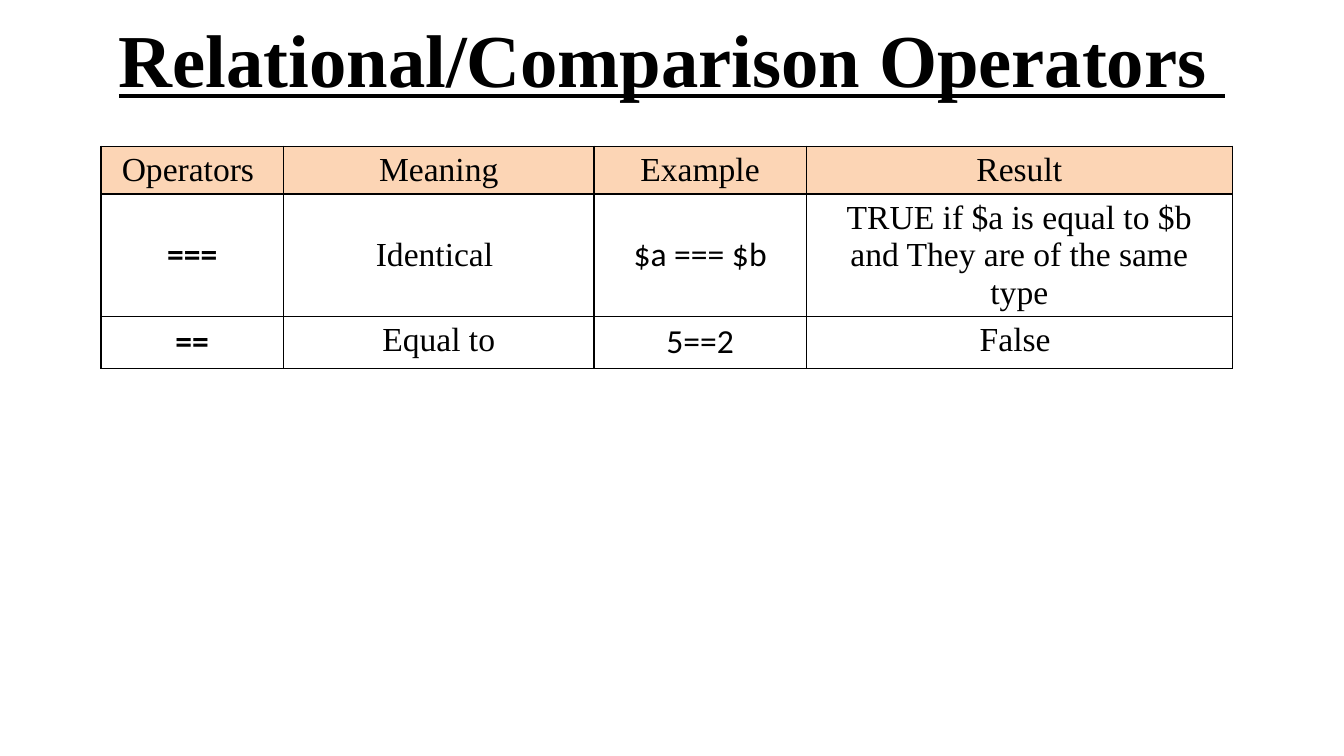
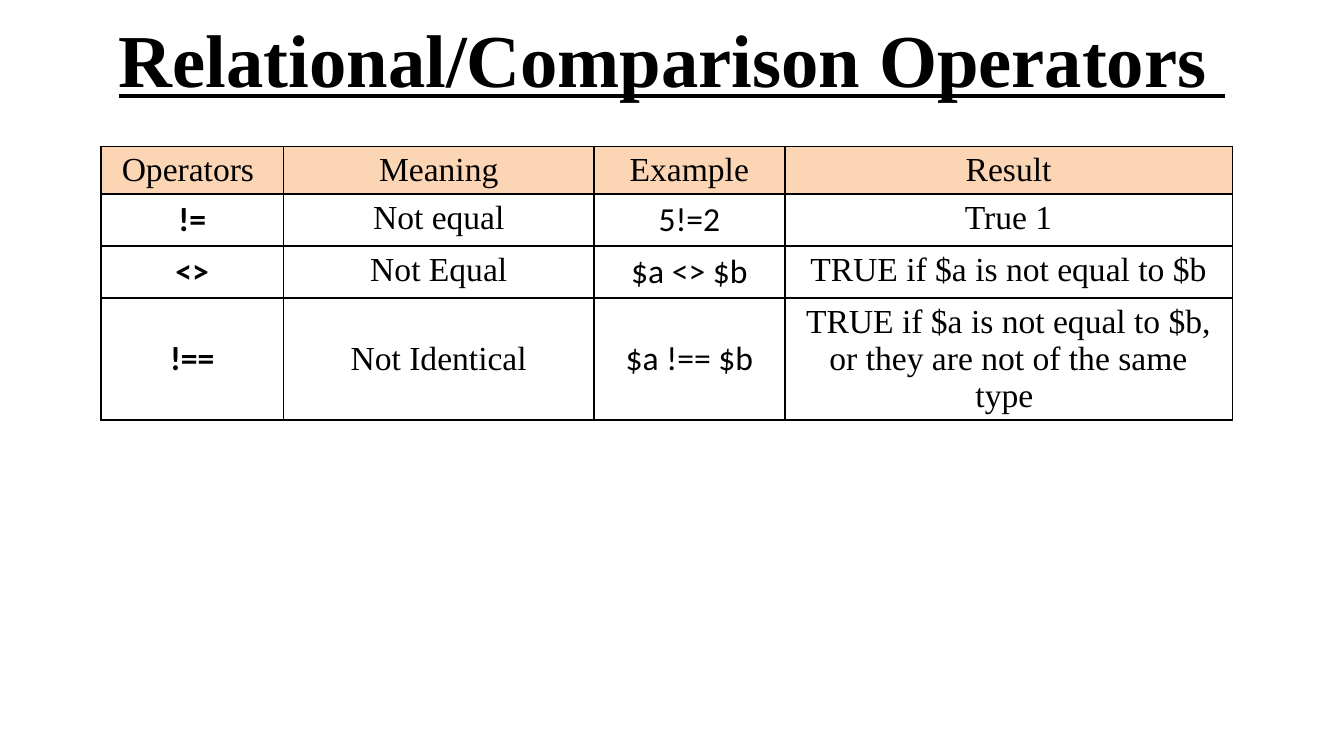
from dataclasses import dataclass

from lxml.etree import SubElement
from pptx import Presentation
from pptx.dml.color import RGBColor
from pptx.enum.text import MSO_ANCHOR as Anchor, PP_ALIGN as Align
from pptx.oxml.ns import qn
from pptx.util import Inches, Pt


@dataclass(frozen=True)
class Theme:
    ink: str = "000000"
    header_fill: str = "FCD5B5"
    serif: str = "Times New Roman"
    sans: str = "Calibri"
    title_size: int = 40
    cell_size: int = 18
    border: float = 1


THEME = Theme()
WIDTH = Inches(10)
HEIGHT = WIDTH * 9 // 16
TITLE = "Relational/Comparison Operators "
HEADER = ("Operators ", "Meaning", "Example", "Result")

# Row heights, in percent of the slide's height
HEADER_ROW, LINE_ROW, TALL_ROW = 6.25, 6.7, 16.1


def across(percent):
    return round(WIDTH * percent / 100)


def down(percent):
    return round(HEIGHT * percent / 100)


def write(tf, text, size, font, bold=False, underline=False):
    tf.text = text
    p = tf.paragraphs[0]
    p.alignment = Align.CENTER
    for r in p.runs:
        r.font.name = font
        r.font.size = Pt(size)
        r.font.bold = bold
        r.font.underline = underline
        r.font.color.rgb = RGBColor.from_string(THEME.ink)


def add_title(slide):
    sp = slide.shapes.title
    sp.left, sp.top = across(5), down(-0.7)
    sp.width, sp.height = across(90), down(16.7)
    sp.text_frame.vertical_anchor = Anchor.MIDDLE
    write(sp.text_frame, TITLE, THEME.title_size, THEME.serif,
          bold=True, underline=True)


def add_borders(cell):
    """Draw all four sides; call before the cell's fill is set."""
    props = cell._tc.get_or_add_tcPr()
    for side in ("lnL", "lnR", "lnT", "lnB"):
        line = SubElement(props, qn(f"a:{side}"), w=str(Pt(THEME.border)))
        fill = SubElement(line, qn("a:solidFill"))
        SubElement(fill, qn("a:srgbClr"), val=THEME.ink)


def fill_cell(cell, text, is_header, column, is_tall):
    cell.margin_left = cell.margin_right = Inches(0.1)
    cell.margin_top = cell.margin_bottom = Inches(0.04)
    cell.vertical_anchor = Anchor.MIDDLE if is_tall else Anchor.TOP
    add_borders(cell)
    if is_header:
        cell.fill.solid()
        cell.fill.fore_color.rgb = RGBColor.from_string(THEME.header_fill)
    else:
        cell.fill.background()
    is_code = not is_header and HEADER[column] in ("Operators ", "Example")
    write(cell.text_frame, text, THEME.cell_size,
          THEME.sans if is_code else THEME.serif,
          bold=is_code and column == 0)


def add_operator_table(slide, column_widths, operators):
    """Each operator is a row height followed by the row's texts."""
    rows = [(HEADER_ROW, *HEADER), *operators]
    frame = slide.shapes.add_table(
        len(rows), len(HEADER), across(7.5), down(19.35),
        across(sum(column_widths)), down(sum(row[0] for row in rows)))
    table = frame.table
    table.first_row = table.horz_banding = False
    for column, width in zip(table.columns, column_widths):
        column.width = across(width)
    for i, (height, *texts) in enumerate(rows):
        table.rows[i].height = down(height)
        for j, text in enumerate(texts):
            fill_cell(table.cell(i, j), text, i == 0, j, height == TALL_ROW)


def add_operator_slide(prs, column_widths, operators):
    slide = prs.slides.add_slide(prs.slide_layouts.get_by_name("Title Only"))
    add_title(slide)
    add_operator_table(slide, column_widths, operators)


def main():
    prs = Presentation()
    prs.slide_width, prs.slide_height = WIDTH, HEIGHT
    add_operator_slide(prs, (13.6, 23.1, 15.8, 31.7), [
        (TALL_ROW, "===", "Identical ", "$a === $b",
         "TRUE if $a is equal to $b and They are of the same type"),
        (LINE_ROW, "==", "Equal to", "5==2", "False "),
    ])
    add_operator_slide(prs, (13.6, 23.1, 14.2, 33.3), [
        (LINE_ROW, "!=", "Not equal", "5!=2", "True 1"),
        (LINE_ROW, "<>", "Not Equal", "$a <> $b",
         "TRUE if $a is not equal to $b"),
        (TALL_ROW, "!==", "Not Identical", "$a !== $b",
         "TRUE if $a is not equal to $b, or they are not of the same type "),
    ])
    prs.save("out.pptx")


if __name__ == "__main__":
    main()
